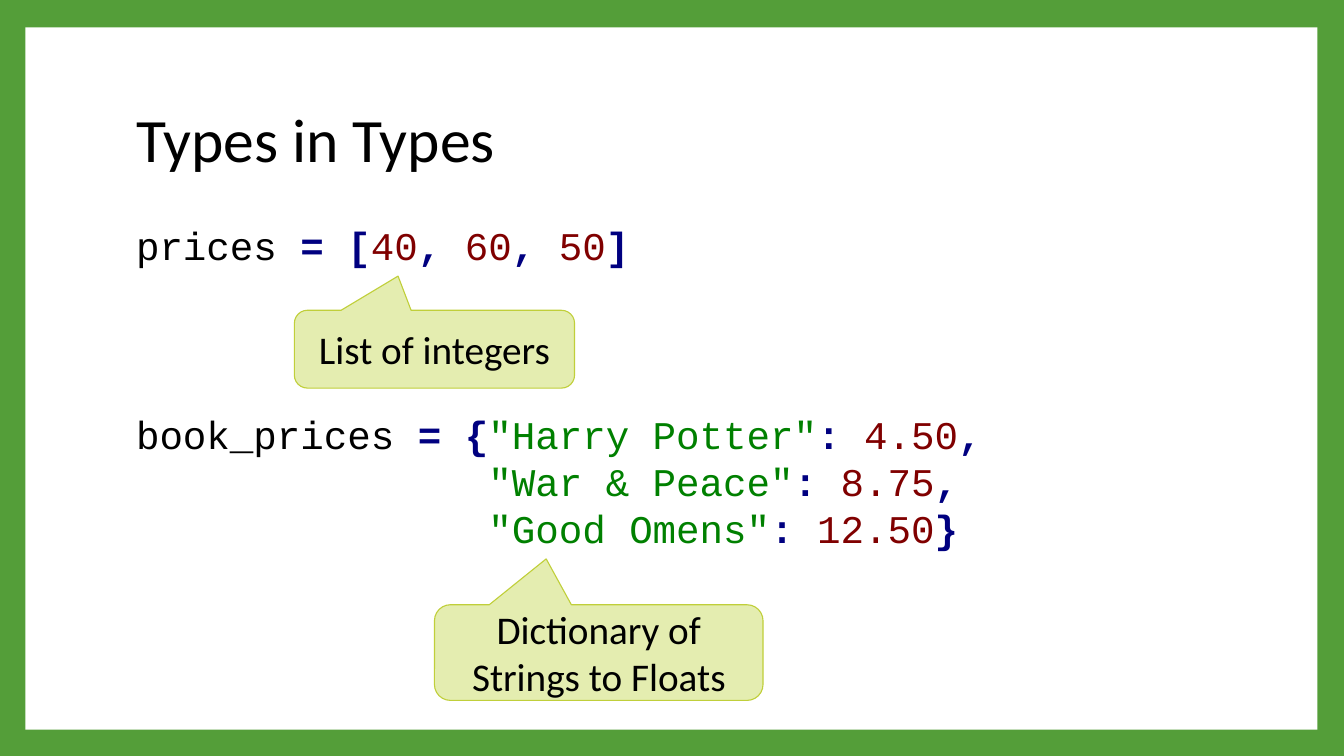
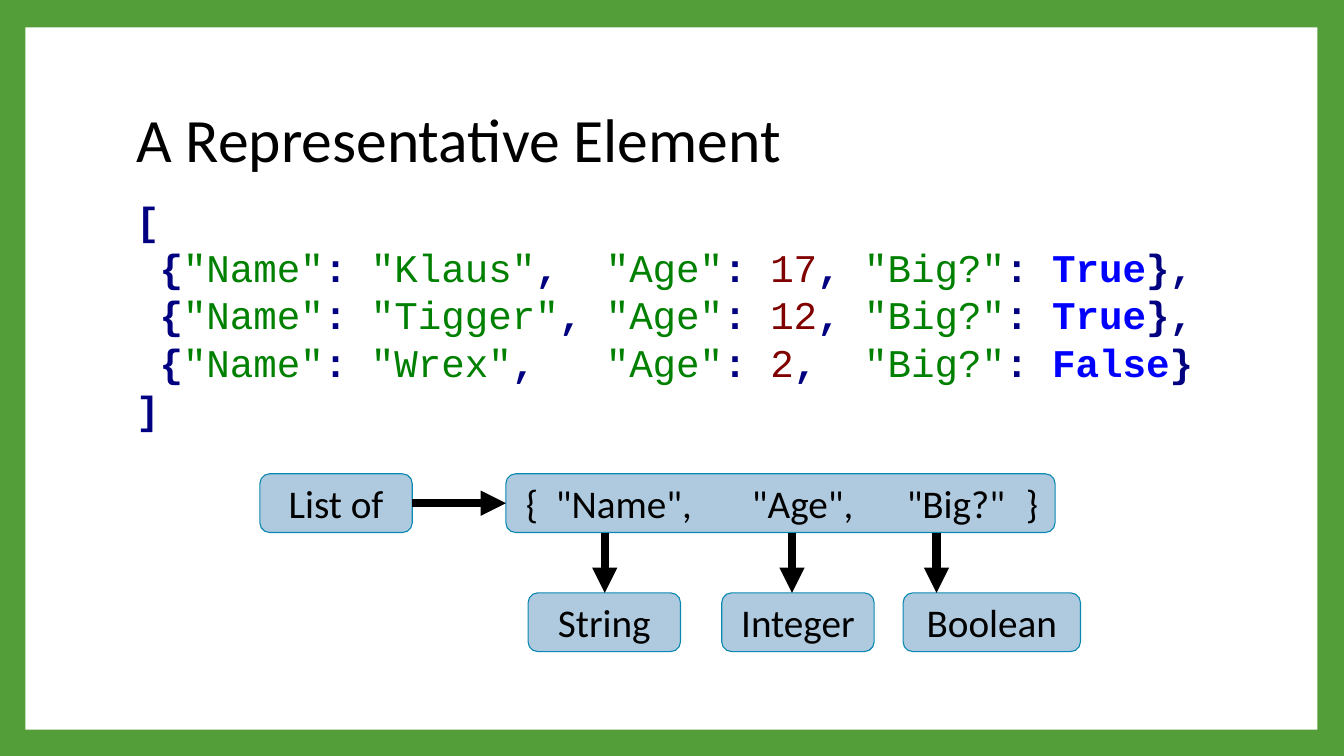
from dataclasses import dataclass

from lxml import etree
from pptx import Presentation
from pptx import util as u
from pptx.dml.color import RGBColor
from pptx.enum import shapes, text
from pptx.oxml.ns import qn


@dataclass(frozen=True)
class Theme:
    border: str = "549E39"
    panel: str = "FFFFFF"
    ink: str = "000000"
    operator: str = "000080"
    number: str = "800000"
    string: str = "008000"
    keyword: str = "0000FF"
    callout: tuple = ("E4EDB0", "C0CF3A")
    node: tuple = ("AFCADE", "0989B1")
    heading_font: str = "Calibri"
    code_font: str = "Courier New"
    title_size: int = 44
    body_size: int = 28
    outline: float = 0.79
    arrow: int = 6


theme = Theme()
color = RGBColor.from_string
body_format = {"name": theme.heading_font, "size": u.Pt(theme.body_size)}
title_format = {"name": theme.heading_font, "size": u.Pt(theme.title_size)}
code_format = {"name": theme.code_font, "size": u.Pt(theme.body_size)}


def add_label(slide, kind, place, wording, colors):
    """Add a filled, outlined shape with centred text; place is in centimetres."""
    label = slide.shapes.add_shape(kind, *map(u.Cm, place))
    label.shadow.inherit = False
    label.fill.solid()
    label.fill.fore_color.rgb = color(colors[0])
    label.line.color.rgb = color(colors[1])
    label.line.width = u.Pt(theme.outline)
    label.text_frame.word_wrap = True
    label.text_frame.vertical_anchor = text.MSO_ANCHOR.MIDDLE
    paragraph = label.text_frame.paragraphs[0]
    paragraph.alignment = text.PP_ALIGN.CENTER
    run = paragraph.add_run()
    run.text = wording
    for key, value in body_format.items():
        setattr(run.font, key, value)
    run.font.color.rgb = color(theme.ink)
    return label


def add_code(slide, place, lines):
    """Add highlighted code; "|" separates the tokens of a line."""
    frame = slide.shapes.add_textbox(*map(u.Cm, place)).text_frame
    frame.word_wrap = True
    for number, line in enumerate(lines):
        paragraph = frame.paragraphs[0] if number == 0 else frame.add_paragraph()
        for token in line.split("|"):
            run = paragraph.add_run()
            run.text = token
            for key, value in code_format.items():
                setattr(run.font, key, value)
            if token in ("True", "False"):
                shade, bold = theme.keyword, True
            elif token.startswith('"'):
                shade, bold = theme.string, False
            elif token[0].isdigit():
                shade, bold = theme.number, False
            elif token[0].isalpha():
                shade, bold = theme.ink, False
            else:
                shade, bold = theme.operator, True
            run.font.color.rgb = color(shade)
            run.font.bold = bold
    return frame


prs = Presentation()
prs.slide_width, prs.slide_height = u.Cm(33.87), u.Cm(19.05)
master = prs.slide_master
master.background.fill.solid()
master.background.fill.fore_color.rgb = color(theme.border)
layout = prs.slide_layouts.get_by_name("Title Only")
title_place = {"left": 3.18, "top": 1.7, "width": 27.43, "height": 3.76}
for side, length in title_place.items():
    setattr(layout.placeholders[0], side, u.Cm(length))

pages = []
for heading in ("Types in Types", "A Representative Element"):
    page = prs.slides.add_slide(layout)
    title = page.shapes.title
    title.text = heading
    title.text_frame.vertical_anchor = text.MSO_ANCHOR.MIDDLE
    paragraph = title.text_frame.paragraphs[0]
    paragraph.alignment = text.PP_ALIGN.LEFT
    paragraph.line_spacing = 0.9
    for key, value in title_format.items():
        setattr(paragraph.runs[0].font, key, value)
    paragraph.runs[0].font.color.rgb = color(theme.ink)
    pages.append(page)
types_page, element_page = pages

# The white panel moves to the master, behind everything else
panel = types_page.shapes.add_shape(
    shapes.MSO_SHAPE.RECTANGLE, u.Cm(0.64), u.Cm(0.69), u.Cm(32.56), u.Cm(17.7))
panel.shadow.inherit = False
panel.fill.solid()
panel.fill.fore_color.rgb = color(theme.panel)
panel.line.fill.background()
master.shapes._spTree.insert(2, panel._element)

# Types in Types
prices_code = add_code(types_page, (3.18, 5.46, 24, 8.64), [
    "prices |= [|40|, |60|, |50|]",
    'book_prices |= {|"Harry Potter"|: |4.50|,',
    '               |"War & Peace"|: |8.75|,',
    '               |"Good Omens"|: |12.50|}',
])
prices_code.paragraphs[1].space_before = u.Pt(101)

callouts = [
    ("List of integers", (7.42, 7.82, 7.06, 1.96), (-0.13, -0.94)),
    ("Dictionary of Strings to Floats", (10.95, 15.24, 8.28, 2.41), (-0.16, -0.98)),
]
for wording, place, tip in callouts:
    callout = add_label(types_page, shapes.MSO_SHAPE.ROUNDED_RECTANGULAR_CALLOUT,
                        place, wording, theme.callout)
    callout.adjustments[0], callout.adjustments[1] = tip

# A Representative Element
add_code(element_page, (3.18, 4.83, 27.43, 6.25), [
    "[",
    ' {|"Name"|: |"Klaus"|,  |"Age"|: |17|, |"Big?"|: |True|},',
    ' {|"Name"|: |"Tigger"|, |"Age"|: |12|, |"Big?"|: |True|},',
    ' {|"Name"|: |"Wrex"|,   |"Age"|: |2|,  |"Big?"|: |False|}',
    "]",
])

record_top, type_top, node_height = 11.94, 14.94, 1.48
record_bottom = record_top + node_height
nodes = [
    ("List of", 6.55, record_top, 3.84),
    ('{\t"Name",\t"Age",\t"Big?"\t}', 12.75, record_top, 13.84),
    ("String", 13.31, type_top, 3.84),
    ("Integer", 18.19, type_top, 3.84),
    ("Boolean", 22.76, type_top, 4.47),
]
for wording, left, top, width in nodes:
    node = add_label(element_page, shapes.MSO_SHAPE.ROUNDED_RECTANGLE,
                     (left, top, width, node_height), wording, theme.node)
    if "\t" in wording:
        node.text_frame.margin_left, node.text_frame.margin_right = u.Cm(0.43), 0
        fields = node.text_frame.paragraphs[0]
        fields.alignment = text.PP_ALIGN.LEFT
        tabs = etree.SubElement(fields._p.get_or_add_pPr(), qn("a:tabLst"))
        for stop in (0.76, 5.7, 9.6, 12.6):
            etree.SubElement(tabs, qn("a:tab"), pos=str(u.Cm(stop)), algn="l")

record_middle = record_top + node_height / 2
arrows = [(10.39, record_middle, 12.75, record_middle)]
arrows += [(x, record_bottom, x, type_top) for x in (15.24, 19.96, 23.6)]
for ends in arrows:
    arrow = element_page.shapes.add_connector(
        shapes.MSO_CONNECTOR.STRAIGHT, *map(u.Cm, ends))
    arrow.line.color.rgb = color(theme.ink)
    arrow.line.width = u.Pt(theme.arrow)
    etree.SubElement(arrow.line._get_or_add_ln(), qn("a:tailEnd"), type="triangle")
    etree.SubElement(arrow._element.spPr, qn("a:effectLst"))

prs.save("out.pptx")
